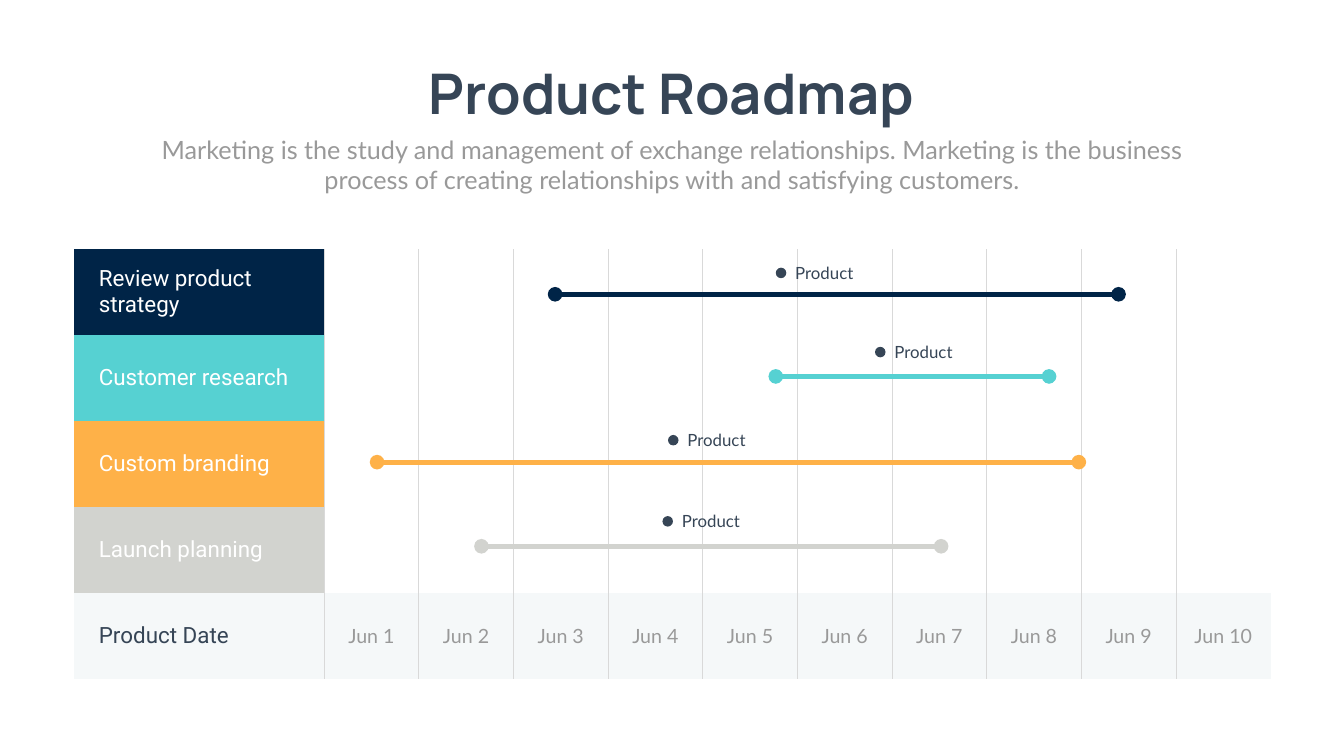
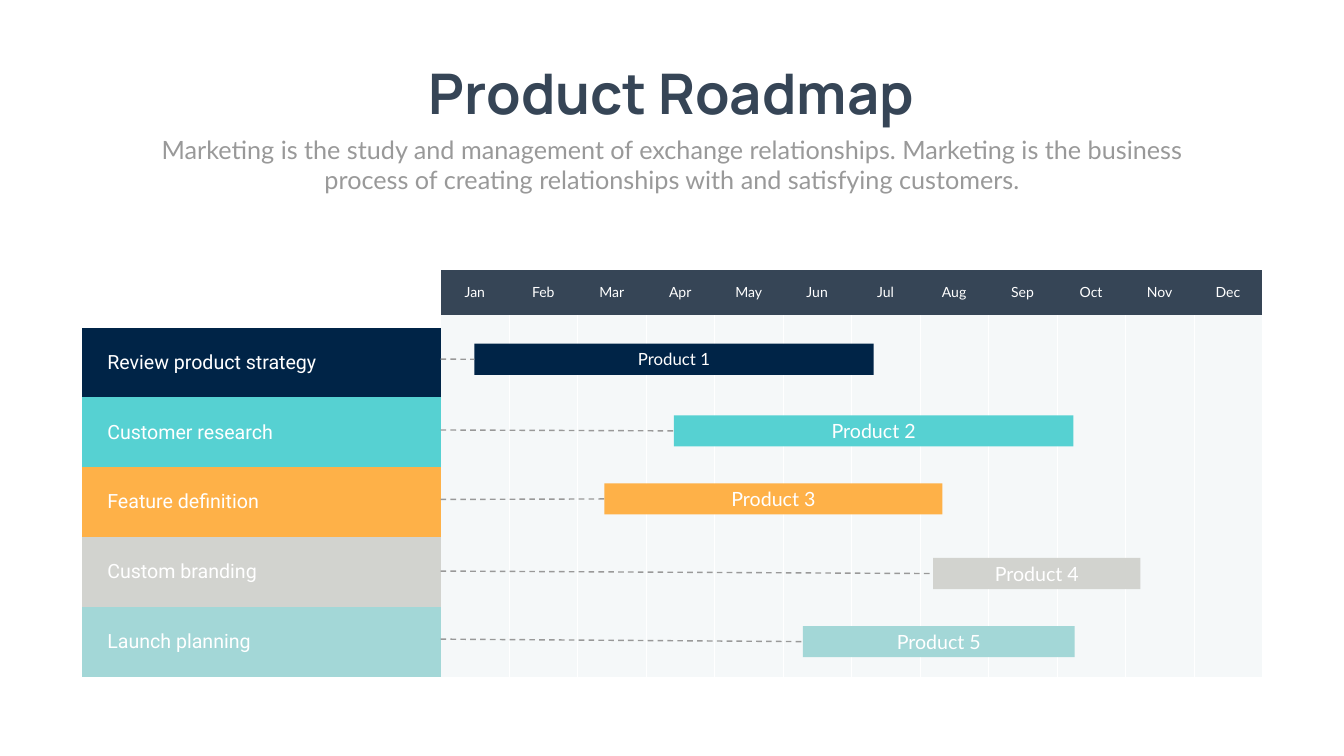
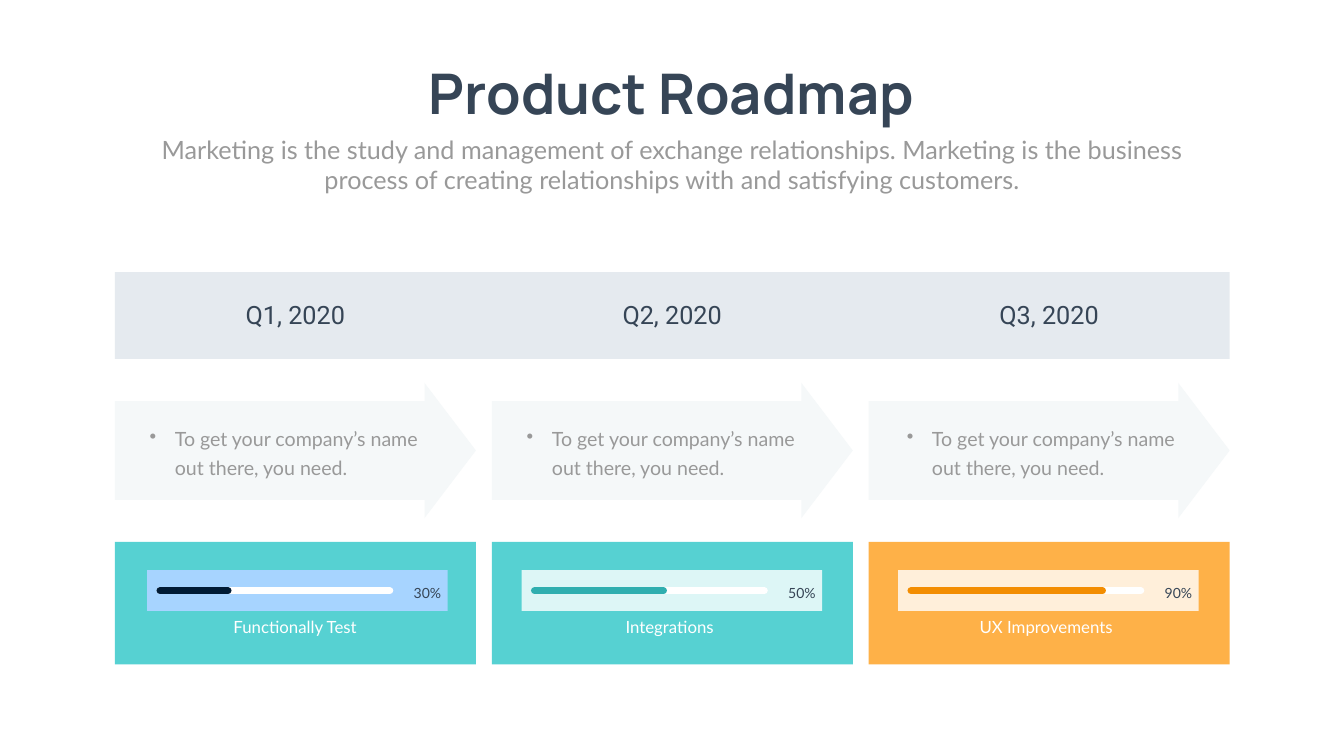
from lxml.etree import SubElement
from pptx import Presentation
from pptx.dml.color import RGBColor
from pptx.enum.dml import MSO_LINE
from pptx.enum.shapes import MSO_CONNECTOR, MSO_SHAPE as SHAPE
from pptx.enum.text import MSO_ANCHOR, MSO_AUTO_SIZE, PP_ALIGN as ALIGN
from pptx.oxml.ns import qn
from pptx.util import Cm, Pt

INK, GREY, WHITE, PALE = "364556", "999999", "FFFFFF", "F5F8F9"
NAVY, TEAL, ORANGE, STONE, MINT = "002447", "56D1D2", "FEB148", "D2D3CF", "A3D7D7"
RULE, BAND = "D9D9D9", "E5EAEF"
HEADING, LABEL, BODY = "Manrope", "Roboto", "Lato"
NO_STYLE = "{2D5ABB26-0587-4C30-8999-92F81FD0307C}"
SUBTITLE = ("Marketing is the study and management of exchange relationships. "
            "Marketing is the business process of creating relationships "
            "with and satisfying customers.")


def rgb(code):
    """Turn a hex string into a colour."""
    return RGBColor.from_string(code)


class Roadmap:
    """Holds the deck, its style and the current page."""

    def __init__(self):
        """Start an empty deck."""
        self.deck = Presentation()
        self.deck.slide_width, self.deck.slide_height = Cm(67.72), Cm(38.1)
        self.page = None

    def new_page(self):
        """Add a page with the shared title and subtitle."""
        self.page = self.deck.slides.add_slide(self.deck.slide_layouts[6])
        self.text(20.29, 2.84, 27.1, 3.68, "Product Roadmap", 80, INK, HEADING,
                  ALIGN.CENTER, wrap=False, bold=True)
        self.text(7.42, 6.63, 52.88, 3.33, SUBTITLE, 36, GREY, align=ALIGN.CENTER)

    def add_words(self, frame, words, size, color, font=BODY, align=ALIGN.LEFT, bold=False):
        """Put one styled run in the first paragraph of a frame."""
        para = frame.paragraphs[0]
        para.alignment = align
        span = para.add_run()
        span.text = words
        span.font.size, span.font.name, span.font.bold = Pt(size), font, bold
        span.font.color.rgb = rgb(color)
        return para

    def text(self, left, top, width, height, words, size, color, font=BODY,
             align=ALIGN.LEFT, wrap=True, bold=False):
        """Add a text box and return its paragraph."""
        box = self.page.shapes.add_textbox(Cm(left), Cm(top), Cm(width), Cm(height))
        box.text_frame.word_wrap = wrap
        box.text_frame.auto_size = MSO_AUTO_SIZE.SHAPE_TO_FIT_TEXT
        return self.add_words(box.text_frame, words, size, color, font, align, bold)

    def bullet(self, left, top, width, height, words):
        """Add a text box with one bulleted paragraph."""
        para = self.text(left, top, width, height, words, 28, GREY)
        properties = para._p.get_or_add_pPr()
        properties.set("marL", str(Cm(1.27)))
        properties.set("indent", str(-Cm(1.27)))
        SubElement(properties, qn("a:buChar"), char="•")
        para.line_spacing = Pt(40.8)

    def shape(self, kind, left, top, width, height, fill, adjust=()):
        """Add a plain filled shape."""
        box = self.page.shapes.add_shape(kind, Cm(left), Cm(top), Cm(width), Cm(height))
        box.shadow.inherit = False
        box.fill.solid()
        box.fill.fore_color.rgb = rgb(fill)
        box.line.fill.background()
        for index, value in enumerate(adjust):
            box.adjustments[index] = value
        return box

    def line(self, start, end, color, width, dashed=False, dots=False, cap="flat"):
        """Add a straight connector."""
        line = self.page.shapes.add_connector(
            MSO_CONNECTOR.STRAIGHT, *(Cm(value) for value in (*start, *end)))
        line.line.color.rgb = rgb(color)
        line.line.width = Pt(width)
        if dashed:
            line.line.dash_style = MSO_LINE.DASH
        stroke = line.get_or_add_ln()
        stroke.set("cap", cap)
        if dots:
            for tag in ("a:headEnd", "a:tailEnd"):
                SubElement(stroke, qn(tag), type="oval")
        SubElement(line._element.spPr, qn("a:effectLst"))
        return line

    def table(self, left, top, widths, heights):
        """Add an unstyled table."""
        frame = self.page.shapes.add_table(
            len(heights), len(widths), Cm(left), Cm(top), Cm(sum(widths)), Cm(sum(heights)))
        table = frame.table
        table.first_row = table.horz_banding = False
        table._tbl.tblPr.find(qn("a:tableStyleId")).text = NO_STYLE
        for column, width in zip(table.columns, widths):
            column.width = Cm(width)
        for row, height in zip(table.rows, heights):
            row.height = Cm(height)
        return table

    def cell(self, table, row, column, fill, words="", size=28, color=WHITE, font=BODY,
             align=ALIGN.CENTER):
        """Fill one cell and add its words."""
        cell = table.cell(row, column)
        cell.fill.solid()
        cell.fill.fore_color.rgb = rgb(fill)
        cell.vertical_anchor = MSO_ANCHOR.MIDDLE
        if words:
            self.add_words(cell.text_frame, words, size, color, font, align)
        return cell

    def label_cell(self, table, row, fill, words, size, color=WHITE):
        """Fill the indented label cell of a row."""
        cell = self.cell(table, row, 0, fill, words, size, color, LABEL, ALIGN.LEFT)
        cell.margin_left = Cm(1.27)

    def column_rules(self, table, row, color, width):
        """Draw the lines between the cells of a row."""
        last = len(table.columns) - 1
        for column in range(last + 1):
            properties = table.cell(row, column)._tc.get_or_add_tcPr()
            sides = [side for side, drawn in (("a:lnL", column > 0), ("a:lnR", column < last))
                     if drawn]
            for index, side in enumerate(sides):
                rule = SubElement(properties, qn(side), w=str(Pt(width)))
                SubElement(SubElement(rule, qn("a:solidFill")), qn("a:srgbClr"), val=color)
                properties.insert(index, rule)


def daily_page(roadmap):
    """Build the roadmap by day."""
    roadmap.new_page()
    days = 10
    tasks = [("Review product strategy", NAVY), ("Customer research", TEAL),
             ("Custom branding", ORANGE), ("Launch planning", STONE)]
    table = roadmap.table(3.71, 12.55, [12.62] + [4.77] * days, [4.33] * 5)
    for row, (name, color) in enumerate(tasks):
        roadmap.label_cell(table, row, color, name, 32)
        for day in range(1, days + 1):
            roadmap.cell(table, row, day, WHITE)
    roadmap.label_cell(table, 4, PALE, "Product Date", 32, INK)
    for day in range(1, days + 1):
        roadmap.cell(table, 4, day, PALE, f"Jun {day}", color=GREY)
    for row in range(5):
        roadmap.column_rules(table, row, RULE, 1)

    spans = [(27.97, 56.36, 14.83), (39.09, 52.86, 18.97),
             (19, 54.36, 23.29), (24.26, 47.42, 27.53)]
    for (start, end, y), (_, color) in zip(spans, tasks):
        roadmap.line((start, y), (end, y), color, 7, dots=True)
    for left, top in [(39.09, 13.49), (44.09, 17.48), (33.66, 21.92), (33.38, 26.01)]:
        roadmap.text(left + 0.73, top - 0.38, 3.51, 1.27, "Product", 24, INK, wrap=False)
        roadmap.shape(SHAPE.OVAL, left, top, 0.53, 0.53, INK)


def monthly_page(roadmap):
    """Build the roadmap by month."""
    roadmap.new_page()
    months = "Jan Feb Mar Apr May Jun Jul Aug Sep Oct Nov Dec".split()
    chart_left, top = 22.2, 13.59
    calendar = roadmap.table(chart_left, top, [3.45] * len(months), [2.29, 18.24])
    for column, month in enumerate(months):
        roadmap.cell(calendar, 0, column, INK, month, 20)
        roadmap.cell(calendar, 1, column, PALE)
    roadmap.column_rules(calendar, 1, WHITE, 0.5)

    tasks = [("Review product strategy", NAVY, 23.9, 17.32, 20.12, 18.1),
             ("Customer research", TEAL, 33.96, 20.93, 20.12, 21.67),
             ("Feature definition", ORANGE, 30.45, 24.36, 17.04, 25.17),
             ("Custom branding", STONE, 47.02, 28.12, 10.44, 28.78),
             ("Launch planning", MINT, 40.46, 31.55, 13.69, 32.21)]
    names = roadmap.table(4.14, top, [18.06], [2.92] + [3.52] * len(tasks))
    roadmap.cell(names, 0, 0, WHITE)
    for number, (name, color, left, bar_top, width, leader_y) in enumerate(tasks, 1):
        roadmap.label_cell(names, number, color, name, 28)
        bar = roadmap.shape(SHAPE.RECTANGLE, left, bar_top, width, 1.57, color)
        bar.text_frame.vertical_anchor = MSO_ANCHOR.MIDDLE
        roadmap.add_words(bar.text_frame, f"Product {number}", 24 if number == 1 else 28,
                          WHITE, align=ALIGN.CENTER)
        leader = roadmap.line((chart_left, leader_y), (left, bar_top + 0.78), GREY, 2,
                              dashed=True)
        leader.end_connect(bar, 1)


def quarterly_page(roadmap):
    """Build the roadmap by quarter."""
    roadmap.new_page()
    first, pitch, width = 5.79, 18.99, 18.19
    quarters = [("Functionally Test", "30%", 3.43, TEAL, "A7D4FF", "001B35", 7.29, 7.42),
                ("Integrations", "50%", 6.5, TEAL, "DDF6F6", "2FAEAF", 26.29, 26.29),
                ("UX Improvements", "90%", 9.65, ORANGE, "FFEFDA", "F38D01", 45.44, 45.26)]
    roadmap.shape(SHAPE.ROUNDED_RECTANGLE, first, 13.72, 2 * pitch + width, 4.37, BAND, [0])
    for index, (goal, share, done, card, panel, bar, note, meter) in enumerate(quarters):
        left = first + index * pitch
        roadmap.shape(SHAPE.ROUNDED_RECTANGLE, left, 27.31, width, 6.17, card, [0])
        roadmap.text(left + 5.7, 14.94, 6.78, 1.8, f"Q{index + 1}, 2020", 36, INK, LABEL,
                     ALIGN.CENTER)
        roadmap.shape(SHAPE.RIGHT_ARROW, left, 19.3, width, 6.81, PALE, [0.73, 0.38])
        roadmap.bullet(note, 21.16, 14.27, 3.23,
                       "To get your company’s name out there, you need.")
        roadmap.text(meter + 2.13, 30.96, 10.64, 1.27, goal, 24, WHITE, align=ALIGN.CENTER)
        roadmap.shape(SHAPE.RECTANGLE, meter, 28.73, 15.14, 2.06, panel)
        start, y = meter + 0.64, 29.77
        for length, color in ((11.58, WHITE), (done, bar)):
            roadmap.line((start, y), (start + length, y), color, 10, cap="rnd")
        roadmap.text(meter + 12.93, 29.31, 2.13, 1.12, share, 20, INK, align=ALIGN.RIGHT)


def main():
    """Build and save the deck."""
    roadmap = Roadmap()
    daily_page(roadmap)
    monthly_page(roadmap)
    quarterly_page(roadmap)
    roadmap.deck.save("out.pptx")


if __name__ == "__main__":
    main()
